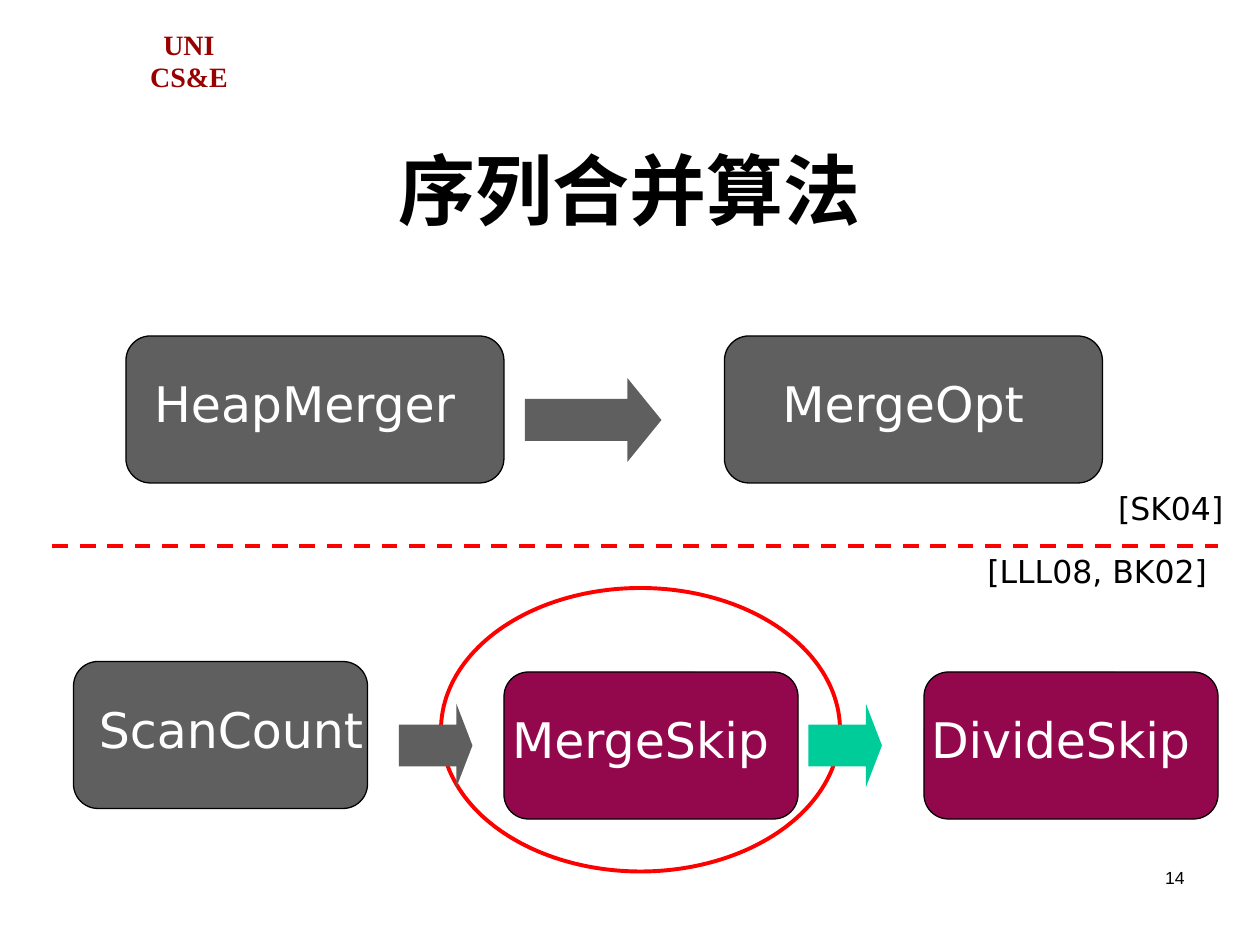
from dataclasses import dataclass

from lxml import etree
from pptx import Presentation
from pptx.dml.color import RGBColor
from pptx.enum import dml, shapes, text
from pptx.oxml import ns
from pptx.util import Pt

GREY, PLUM, GREEN, RED = "5F5F5F", "93074D", "00CC99", "FF0000"
BLACK, WHITE, MAROON = "000000", "FFFFFF", "990000"
BOX_HEIGHT, LABEL_WIDTH, LABEL_HEIGHT, LABEL_DROP = 84, 192, 41, 18
ARROW_HEIGHT = 48


@dataclass
class Algorithm:
    name: str
    left: float
    top: float
    width: float
    label_left: float
    color: str = GREY


@dataclass
class Step:
    """Arrow from one algorithm to its improvement."""
    left: float
    top: float
    width: float
    head: float
    color: str = GREY


def rgb(color: str) -> RGBColor:
    return RGBColor.from_string(color)


def write(frame, words: str, *, size: float, font: str = "DejaVu Sans",
          color: str = BLACK, bold: bool = False,
          align=text.PP_ALIGN.CENTER, anchor=text.MSO_ANCHOR.TOP,
          spacing: float = 1.0) -> None:
    frame.word_wrap = True
    frame.auto_size = text.MSO_AUTO_SIZE.NONE
    frame.vertical_anchor = anchor
    paragraph = frame.paragraphs[0]
    paragraph.text = words
    paragraph.alignment = align
    paragraph.line_spacing = spacing
    for run in paragraph.runs:
        run.font.name, run.font.size, run.font.bold = font, Pt(size), bold
        run.font.color.rgb = rgb(color)


def add_text(slide, words: str, left: float, top: float, width: float,
             height: float, **style) -> None:
    box = slide.shapes.add_textbox(Pt(left), Pt(top), Pt(width), Pt(height))
    write(box.text_frame, words, **style)


def add_figure(slide, kind, left: float, top: float, width: float, height: float,
               fill: str = "", line: str = "", weight: float = 0.75):
    figure = slide.shapes.add_shape(kind, Pt(left), Pt(top), Pt(width), Pt(height))
    figure.shadow.inherit = False
    if fill:
        figure.fill.solid()
        figure.fill.fore_color.rgb = rgb(fill)
    else:
        figure.fill.background()
    if line:
        figure.line.color.rgb = rgb(line)
        figure.line.width = Pt(weight)
    else:
        figure.line.fill.background()
    return figure


def draw_algorithm(slide, algorithm: Algorithm) -> None:
    add_figure(slide, shapes.MSO_SHAPE.FLOWCHART_ALTERNATE_PROCESS, algorithm.left,
               algorithm.top, algorithm.width, BOX_HEIGHT, algorithm.color, BLACK)
    add_text(slide, algorithm.name, algorithm.label_left, algorithm.top + LABEL_DROP,
             LABEL_WIDTH, LABEL_HEIGHT, size=28, color=WHITE)


def draw_step(slide, step: Step) -> None:
    arrow = add_figure(slide, shapes.MSO_SHAPE.RIGHT_ARROW, step.left, step.top,
                       step.width, ARROW_HEIGHT, step.color)
    arrow.adjustments[0] = 0.5
    arrow.adjustments[1] = step.head * step.width / ARROW_HEIGHT


def draw_divider(slide) -> None:
    divider = slide.shapes.add_connector(shapes.MSO_CONNECTOR.STRAIGHT,
                                         Pt(30), Pt(312), Pt(696), Pt(312))
    divider.line.color.rgb = rgb(RED)
    divider.line.width = Pt(2.25)
    divider.line.dash_style = dml.MSO_LINE.DASH
    etree.SubElement(divider._element.spPr, ns.qn("a:effectLst"))


EARLIER = [
    Algorithm("HeapMerger", 72, 192, 216, 78),
    Step(300, 216, 78, 0.25),
    Algorithm("MergeOpt", 414, 192, 216, 420),
]
LATER = [
    Algorithm("ScanCount", 42, 378, 168, 36),
    Step(228, 402, 42, 0.25),
    Algorithm("MergeSkip", 288, 384, 168, 270, PLUM),
    Step(462, 402, 42, 0.25, GREEN),
    Algorithm("DivideSkip", 528, 384, 168, 510, PLUM),
]


def draw_row(slide, row: list) -> None:
    for part in row:
        if isinstance(part, Algorithm):
            draw_algorithm(slide, part)
        else:
            draw_step(slide, part)


def main() -> None:
    deck = Presentation()
    deck.slide_width, deck.slide_height = Pt(720), Pt(540)
    slide = deck.slides.add_slide(deck.slide_layouts[5])

    title = slide.shapes.title
    title.left, title.top, title.width, title.height = Pt(54), Pt(48), Pt(612), Pt(90)
    write(title.text_frame, "序列合并算法", size=44, font="Arial", bold=True,
          anchor=text.MSO_ANCHOR.BOTTOM)
    add_text(slide, "UNI\vCS&E", 72, 13.5, 72, 44, size=16, font="Times New Roman",
             color=MAROON, bold=True, anchor=text.MSO_ANCHOR.MIDDLE, spacing=0.95)

    draw_row(slide, EARLIER)
    draw_divider(slide)
    add_figure(slide, shapes.MSO_SHAPE.OVAL, 252, 336, 228, 162, line=RED, weight=2.25)
    draw_row(slide, LATER)

    add_text(slide, "[SK04]", 618, 276, 102, 29, size=18)
    add_text(slide, "[LLL08, BK02]", 534, 312, 186, 29, size=18)
    add_text(slide, "14", 516, 492, 168, 36, size=10, font="Arial",
             align=text.PP_ALIGN.RIGHT)
    deck.save("out.pptx")


if __name__ == "__main__":
    main()
